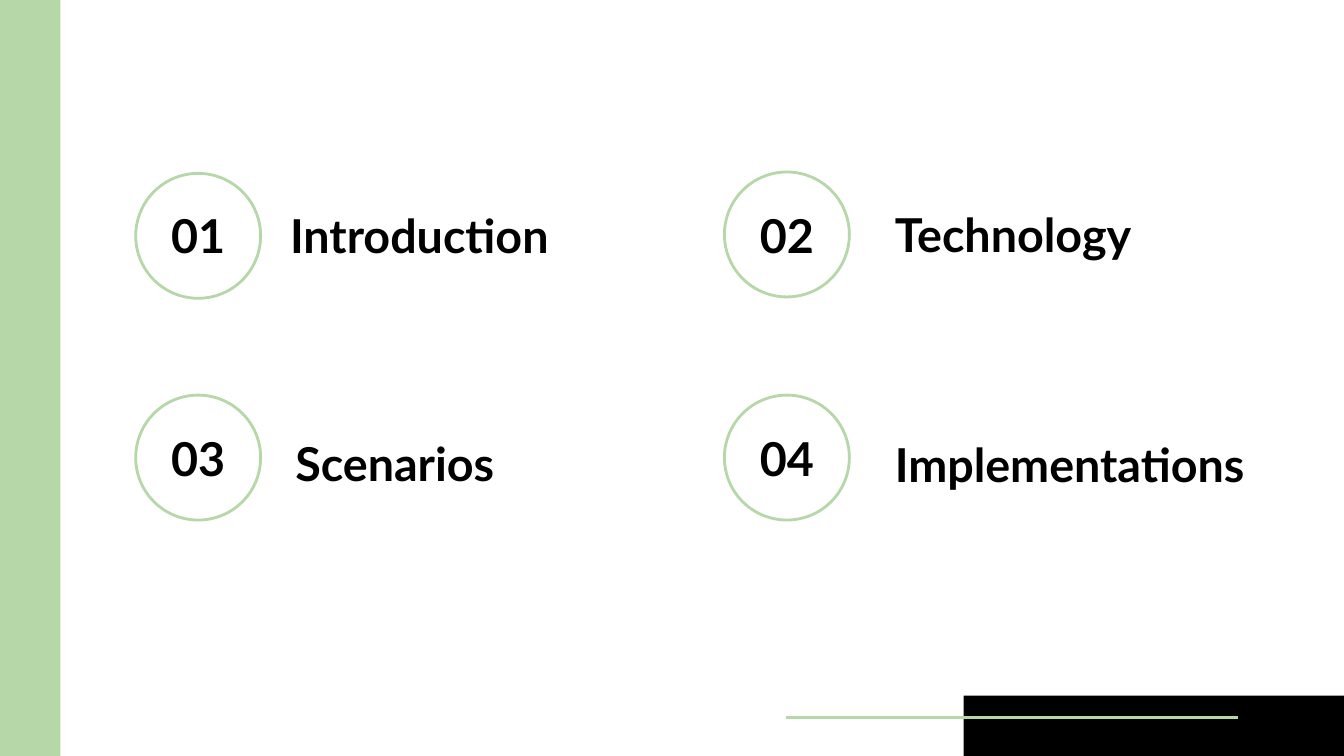
from dataclasses import dataclass

from pptx import Presentation
from pptx.dml.color import RGBColor
from pptx.enum import shapes, text
from pptx.oxml.ns import qn
from pptx.util import Inches, Pt

GREEN = RGBColor(0xB6, 0xD7, 0xA8)
BLACK = RGBColor(0, 0, 0)
WHITE = RGBColor(0xFF, 0xFF, 0xFF)

# 16:9 slide
WIDTH = 10
HEIGHT = WIDTH * 9 / 16
BAND = 0.45
DIAMETER = 0.93
NUMBER_W, NUMBER_H = 0.98, 0.59


@dataclass
class Box:
    left: float
    top: float
    width: float
    height: float

    def lengths(self) -> list:
        return [Inches(v) for v in (self.left, self.top, self.width, self.height)]


@dataclass
class Topic:
    number: str
    title: str
    circle_left: float
    circle_top: float
    number_top: float
    title_box: Box


TOPICS = [
    Topic("01", "Introduction", 1.01, 1.29, 1.45, Box(2.06, 1.57, 2.7, 0.36)),
    Topic("02", "Technology", 5.39, 1.28, 1.45, Box(6.56, 1.56, 2.7, 0.36)),
    Topic("03", "Scenarios", 1.01, 2.94, 3.11, Box(2.1, 3.15, 2.38, 0.59)),
    Topic("04", "Implementations", 5.39, 2.94, 3.11, Box(6.56, 3.27, 3.03, 0.36)),
]


def add_block(s, box: Box, color: RGBColor) -> None:
    sp = s.shapes.add_shape(shapes.MSO_SHAPE.RECTANGLE, *box.lengths())
    sp.shadow.inherit = False
    sp.fill.solid()
    sp.fill.fore_color.rgb = color
    sp.line.fill.background()


def add_circle(s, left: float, top: float) -> None:
    box = Box(left, top, DIAMETER, DIAMETER)
    sp = s.shapes.add_shape(shapes.MSO_SHAPE.OVAL, *box.lengths())
    sp.shadow.inherit = False
    sp.fill.solid()
    sp.fill.fore_color.rgb = WHITE
    sp.line.color.rgb = GREEN
    sp.line.width = Pt(1.5)


def add_label(s, label: str, box: Box, align: text.PP_ALIGN) -> None:
    tf = s.shapes.add_textbox(*box.lengths()).text_frame
    tf.word_wrap = True
    tf.vertical_anchor = text.MSO_ANCHOR.MIDDLE
    tf.margin_left = tf.margin_right = Inches(0.1)
    tf.margin_top = tf.margin_bottom = Inches(0.1)
    tf.text = label
    p = tf.paragraphs[0]
    p.alignment = align
    font = p.runs[0].font
    font.name, font.size, font.bold = "Lato", Pt(25), True
    font.color.rgb = BLACK


def add_topic(s, topic: Topic) -> None:
    add_circle(s, topic.circle_left, topic.circle_top)
    # The number is centred across its circle
    number_left = topic.circle_left + (DIAMETER - NUMBER_W) / 2
    number_box = Box(number_left, topic.number_top, NUMBER_W, NUMBER_H)
    add_label(s, topic.number, number_box, text.PP_ALIGN.CENTER)
    add_label(s, topic.title, topic.title_box, text.PP_ALIGN.LEFT)


def add_rule(s, x1: float, x2: float, y: float) -> None:
    line = s.shapes.add_connector(shapes.MSO_CONNECTOR.STRAIGHT,
                                  Inches(x1), Inches(y), Inches(x2), Inches(y))
    line.line.color.rgb = GREEN
    line.line.width = Pt(1.5)
    sp_pr = line._element.spPr
    sp_pr.append(sp_pr.makeelement(qn("a:effectLst"), {}))


def main() -> None:
    prs = Presentation()
    prs.slide_width, prs.slide_height = Inches(WIDTH), Inches(HEIGHT)
    s = prs.slides.add_slide(prs.slide_layouts[6])

    # Side band, corner block and rule
    add_block(s, Box(0, 0, BAND, HEIGHT), GREEN)
    add_block(s, Box(7.17, HEIGHT - BAND, WIDTH - 7.17, BAND), BLACK)
    add_rule(s, 9.21, 5.85, 5.34)

    # Numbered topics
    for topic in TOPICS:
        add_topic(s, topic)

    prs.save("out.pptx")


if __name__ == "__main__":
    main()
